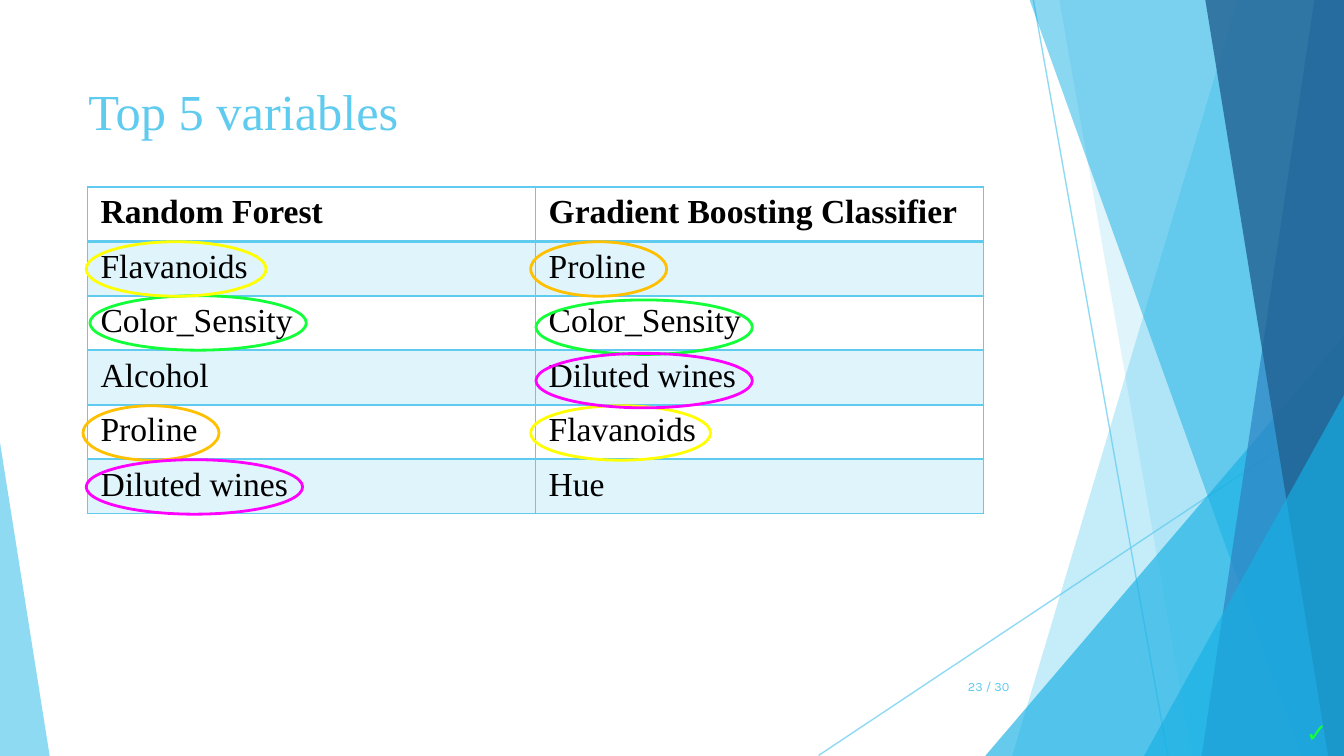
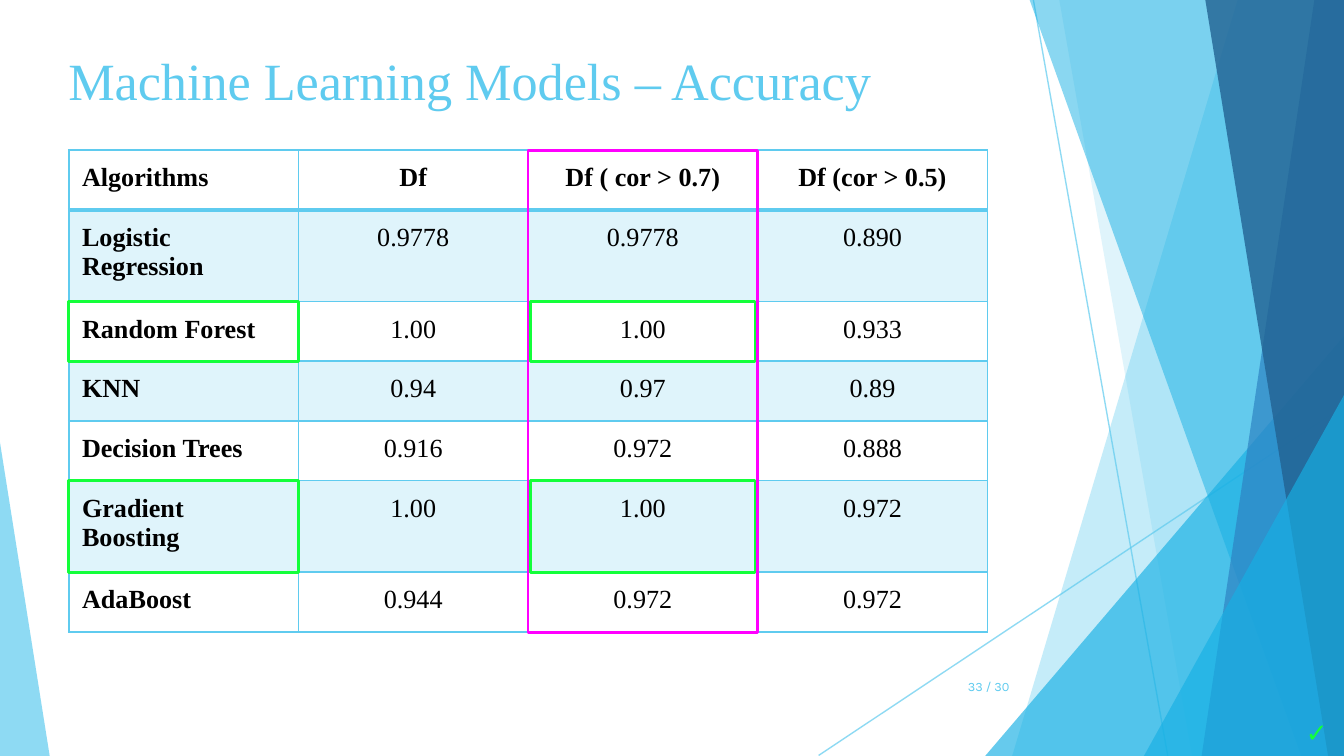
from lxml.etree import SubElement
from pptx import Presentation
from pptx.dml.color import RGBColor
from pptx.enum.shapes import MSO_CONNECTOR, MSO_SHAPE
from pptx.enum.text import MSO_ANCHOR, MSO_AUTO_SIZE, PP_ALIGN
from pptx.oxml.ns import qn
from pptx.util import Cm, Pt

COLORS = {
    "sky": "5FCBEF", "cyan": "17B0E4", "blue": "2E83C3", "navy": "226292",
    "text": "000000", "yellow": "FFFF00", "green": "13FF3A",
    "orange": "FFC000", "magenta": "FF00FF",
}
SERIF, SANS = "Times New Roman", "Karla"
PAGE_WIDTH, PAGE_HEIGHT = 25.4, 14.29
INSET = 0.25

# Decoration, back to front: panels run from a top x to a bottom x and on to
# the right edge; triangles have a box and the side of their apex.
RAYS = [(19.53, 0, 22.07, 14.29), (25.4, 7.67, 15.47, 14.28)]
BACKDROP = [
    ("panel", (23.39, 19.13), "sky", 36),
    ("panel", (20.02, 22.53), "sky", 20),
    ("triangle", (18.62, 6.35, 6.78, 7.94, 1), "cyan", 66),
    ("panel", (19.46, 24.59), "cyan", 50),
    ("panel", (24.84, 22.71), "blue", 70),
    ("panel", (22.78, 25.1), "navy", 80),
    ("triangle", (21.62, 7.47, 3.78, 6.82, 1), "cyan", 66),
    ("triangle", (0, 8.36, 0.94, 5.93, 0), "sky", 70),
]

TOP_VARIABLES = [
    ("Random Forest", "Gradient Boosting Classifier"),
    ("Flavanoids", "Proline"),
    ("Color_Sensity", "Color_Sensity"),
    ("Alcohol", "Diluted wines"),
    ("Proline", "Flavanoids"),
    ("Diluted wines", "Hue"),
]
RING_STYLES = {
    "Proline": ("orange", 2.57),
    "Color_Sensity": ("green", 4.09),
    "Flavanoids": ("yellow", 3.4),
    "Diluted wines": ("magenta", 4.09),
}
# Row, column, and shift from the cell's corner
RINGS = [
    (1, 1, -0.09, 0.01), (2, 1, 0.01, 0.08), (4, 1, -0.09, 0.02),
    (3, 1, 0.01, 0.06), (4, 0, -0.08, 0.02), (2, 0, 0.05, 0),
    (5, 0, -0.02, 0.01), (1, 0, -0.02, 0.01),
]

ACCURACY = [
    ("Algorithms", "Df", "Df ( cor > 0.7)", "Df (cor > 0.5)"),
    ("Logistic Regression", "0.9778", "0.9778", "0.890"),
    ("Random Forest", "1.00", "1.00", "0.933"),
    ("KNN", "0.94", "0.97", "0.89"),
    ("Decision Trees", "0.916", "0.972", "0.888"),
    ("Gradient Boosting", "1.00", "1.00", "0.972"),
    ("AdaBoost", "0.944", "0.972", "0.972"),
]
BEST_ROWS = (2, 5)


def rgb(name):
    return RGBColor.from_string(COLORS[name])


def cm_box(box):
    return [Cm(length) for length in box]


def set_opacity(properties, percent):
    color = properties.find(".//" + qn("a:srgbClr"))
    SubElement(color, qn("a:alpha"), val=str(percent * 1000))


def set_insets(holder, across, down):
    holder.margin_left = holder.margin_right = Cm(across)
    holder.margin_top = holder.margin_bottom = Cm(down)


def write_text(frame, text, size=14, font=SERIF, color="sky", bold=False,
               align=PP_ALIGN.LEFT):
    para = frame.paragraphs[0]
    para.alignment = align
    span = para.add_run()
    span.text = text
    span.font.size = Pt(size)
    span.font.name = font
    span.font.bold = bold
    span.font.color.rgb = rgb(color)


def fill_shape(shape, color, opacity):
    shape.shadow.inherit = False
    shape.fill.solid()
    shape.fill.fore_color.rgb = rgb(color)
    set_opacity(shape._element.spPr, opacity)
    shape.line.fill.background()


def add_outline(page, kind, box, color):
    shape = page.shapes.add_shape(kind, *cm_box(box))
    shape.shadow.inherit = False
    shape.fill.background()
    shape.line.color.rgb = rgb(color)
    shape.line.width = Pt(1.5)


def add_label(page, box, text, down=INSET, anchor=MSO_ANCHOR.TOP, **style):
    frame = page.shapes.add_textbox(*cm_box(box)).text_frame
    frame.word_wrap = True
    frame.vertical_anchor = anchor
    set_insets(frame, INSET, down)
    write_text(frame, text, font=SANS, **style)


def add_panel(page, top_x, bottom_x):
    builder = page.shapes.build_freeform(Cm(top_x), 0)
    corners = [(PAGE_WIDTH, 0), (PAGE_WIDTH, PAGE_HEIGHT),
               (bottom_x, PAGE_HEIGHT)]
    builder.add_line_segments([(Cm(x), Cm(y)) for x, y in corners])
    return builder.convert_to_shape()


def add_triangle(page, left, top, width, height, apex):
    shape = page.shapes.add_shape(MSO_SHAPE.ISOSCELES_TRIANGLE,
                                  *cm_box((left, top, width, height)))
    shape.adjustments[0] = apex
    return shape


def add_backdrop(page):
    for ends in RAYS:
        ray = page.shapes.add_connector(MSO_CONNECTOR.STRAIGHT, *cm_box(ends))
        ray.line.color.rgb = rgb("sky")
        ray.line.width = Pt(0.75)
        set_opacity(ray._element.spPr, 70)
        SubElement(ray._element.spPr, qn("a:effectLst"))
    makers = {"panel": add_panel, "triangle": add_triangle}
    for kind, geometry, color, opacity in BACKDROP:
        fill_shape(makers[kind](page, *geometry), color, opacity)


def add_title(page, box, text, size, anchor):
    title = page.shapes.title
    title.left, title.top, title.width, title.height = cm_box(box)
    page.shapes._spTree.append(title._element)  # in front of the backdrop
    frame = title.text_frame
    frame.auto_size = MSO_AUTO_SIZE.NONE
    frame.vertical_anchor = anchor
    set_insets(frame, INSET, INSET)
    write_text(frame, text, size=size)


def add_page(deck, number, **title):
    """Add a slide with the shared backdrop, title, page number and tick."""
    page = deck.slides.add_slide(deck.slide_layouts[5])
    add_backdrop(page)
    add_title(page, **title)
    add_label(page, (17.91, 12.6, 1.42, 0.76), f"{number} / 30", size=6.8,
              align=PP_ALIGN.RIGHT, anchor=MSO_ANCHOR.MIDDLE)
    add_label(page, (24.43, 13.41, 0.97, 0.86), "✓", down=0.13, size=14,
              color="green", bold=True)
    return page


def set_borders(cell, widths):
    """Draw the left, right, top and bottom borders, widths in points."""
    properties = cell._tc.get_or_add_tcPr()
    for index, (side, width) in enumerate(zip("LRTB", widths)):
        line = SubElement(properties, qn(f"a:ln{side}"), w=str(Pt(width)))
        fill = SubElement(line, qn("a:solidFill"))
        SubElement(fill, qn("a:srgbClr"), val=COLORS["sky"])
        properties.insert(index, line)


def add_banded_table(page, left, top, column_width, heights, rows, size,
                     down, bold_names=False, value_align=PP_ALIGN.LEFT):
    """Add the table and return a function giving a cell's box in cm."""
    columns = len(rows[0])
    box = (left, top, column_width * columns, sum(heights))
    table = page.shapes.add_table(len(rows), columns, *cm_box(box)).table
    table.first_row = table.horz_banding = False
    for column in table.columns:
        column.width = Cm(column_width)
    for r, texts in enumerate(rows):
        table.rows[r].height = Cm(heights[r])
        for c, text in enumerate(texts):
            cell = table.cell(r, c)
            set_insets(cell, INSET, down)
            write_text(cell.text_frame, text, size=size, color="text",
                       bold=r == 0 or (bold_names and c == 0),
                       align=value_align if c else PP_ALIGN.LEFT)
            if r % 2:
                cell.fill.solid()
                cell.fill.fore_color.rgb = rgb("sky")
                set_opacity(cell._tc.tcPr, 20)
            else:
                cell.fill.background()
            set_borders(cell, (1, 1, 2 if r == 1 else 1, 2 if r == 0 else 1))

    def cell_box(row, column):
        return (left + column * column_width, top + sum(heights[:row]),
                column_width, heights[row])
    return cell_box


def build_top_variables(deck):
    page = add_page(deck, 23, box=(1.42, 1.27, 17.91, 1.85),
                    text="Top 5 variables", size=27, anchor=MSO_ANCHOR.TOP)
    cell_box = add_banded_table(page, 1.65, 3.53, 8.47,
                                [1.03] * len(TOP_VARIABLES), TOP_VARIABLES,
                                size=18, down=0.13)
    for row, column, shift_x, shift_y in RINGS:
        color, width = RING_STYLES[TOP_VARIABLES[row][column]]
        left, top, _, height = cell_box(row, column)
        add_outline(page, MSO_SHAPE.OVAL,
                    (left + shift_x, top + shift_y, width, height), color)


def build_accuracy(deck):
    page = add_page(deck, 33, box=(1.04, 0.61, 16.87, 1.8),
                    text="Machine Learning Models – Accuracy", size=28,
                    anchor=MSO_ANCHOR.MIDDLE)
    single, double = 1.13, 1.73
    heights = [double if " " in row[0] and len(row[0]) > 14 else single
               for row in ACCURACY]
    cell_box = add_banded_table(page, 1.3, 2.84, 4.34, heights, ACCURACY,
                                size=14, down=INSET, bold_names=True,
                                value_align=PP_ALIGN.CENTER)
    left, top, width, _ = cell_box(0, 2)
    add_outline(page, MSO_SHAPE.RECTANGLE, (left, top, width, sum(heights)),
                "magenta")
    for column, gap in ((2, 0.05), (0, 0)):
        for row in BEST_ROWS:
            left, top, width, height = cell_box(row, column)
            add_outline(page, MSO_SHAPE.RECTANGLE,
                        (left + gap, top, width - 2 * gap, height), "green")


def main():
    deck = Presentation()
    deck.slide_width, deck.slide_height = Cm(PAGE_WIDTH), Cm(PAGE_HEIGHT)
    build_top_variables(deck)
    build_accuracy(deck)
    deck.save("out.pptx")


if __name__ == "__main__":
    main()
